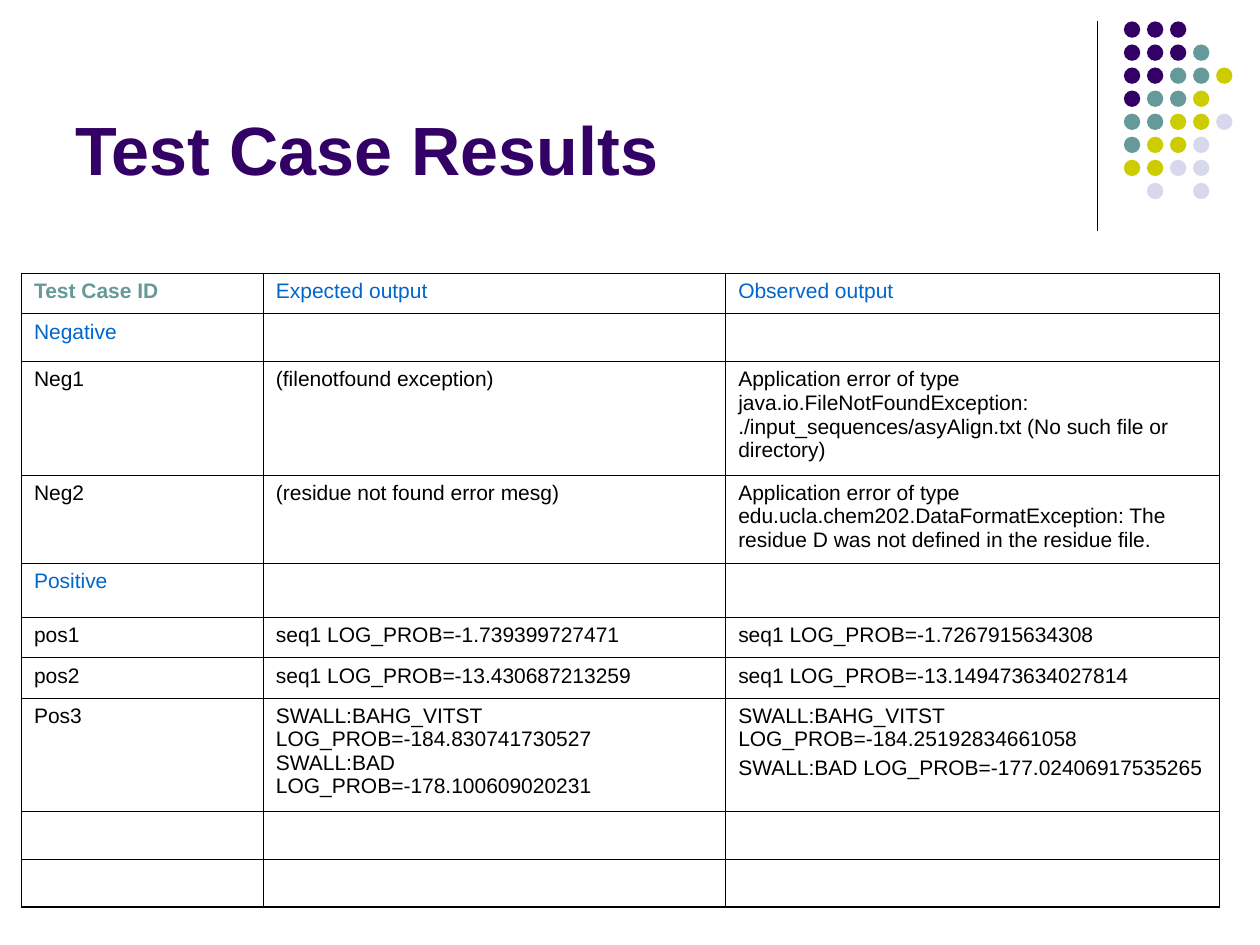
"""Build the Test Case Results slide with its dot grid and results table."""
from lxml import etree
from pptx import Presentation
from pptx.dml.color import RGBColor
from pptx.enum.shapes import MSO_CONNECTOR, MSO_SHAPE
from pptx.enum.text import MSO_ANCHOR
from pptx.oxml.ns import qn
from pptx.util import Inches, Pt

STRAIGHT = MSO_CONNECTOR.STRAIGHT
OVAL = MSO_SHAPE.OVAL
BOTTOM = MSO_ANCHOR.BOTTOM

PURPLE, TEAL, BLUE, BLACK = "330066", "669999", "0066CC", "000000"
DOT_COLORS = {"P": PURPLE, "T": TEAL, "Y": "CCCC00", "L": "D8D8EC"}
DOT_ROWS = ["PPP", "PPPT", "PPTTY", "PTTY", "TTYYL", "TYYL", "YYLL", " L L"]
COL_WIDTHS = [1.92, 3.67, 3.92]
THIN, THICK = 0.45, 1.08

ROWS = [
    (0.32, ["Test Case ID", "Expected output", "Observed output"]),
    (0.38, ["Negative", "", ""]),
    (0.87, ["Neg1", "(filenotfound exception)",
            "Application error of type java.io.FileNotFoundException: "
            "./input_sequences/asyAlign.txt (No such file or directory)"]),
    (0.68, ["Neg2", "(residue not found error mesg)",
            "Application error of type edu.ucla.chem202.DataFormatException: "
            "The residue D was not defined in the residue file."]),
    (0.43, ["Positive", "", ""]),
    (0.32, ["pos1", "seq1 LOG_PROB=-1.739399727471",
            "seq1 LOG_PROB=-1.7267915634308"]),
    (0.32, ["pos2", "seq1 LOG_PROB=-13.430687213259",
            "seq1 LOG_PROB=-13.149473634027814"]),
    (0.85, ["Pos3",
            "SWALL:BAHG_VITST LOG_PROB=-184.830741730527 "
            "SWALL:BAD LOG_PROB=-178.100609020231",
            "SWALL:BAHG_VITST LOG_PROB=-184.25192834661058\n"
            "SWALL:BAD LOG_PROB=-177.02406917535265"]),
    (0.38, ["", "", ""]),
    (0.38, ["", "", ""]),
]


def rgb(value):
    return RGBColor.from_string(value)


def add_border(cell, side, width):
    ln = etree.SubElement(cell._tc.get_or_add_tcPr(), qn(f"a:ln{side}"), w=str(Pt(width)))
    fill = etree.SubElement(ln, qn("a:solidFill"))
    etree.SubElement(fill, qn("a:srgbClr"), val=BLACK)


prs = Presentation()
prs.slide_width, prs.slide_height = Inches(10), Inches(7.5)
s = prs.slides.add_slide(prs.slide_layouts[6])

line = s.shapes.add_connector(STRAIGHT, Inches(8.71), Inches(0.17), Inches(8.71), Inches(1.83))
line.line.color.rgb = rgb(BLACK)
line.line.width = Pt(0.75)
etree.SubElement(line._element.spPr, qn("a:effectLst"))

for i, dots in enumerate(DOT_ROWS):
    for j, dot in enumerate(dots):
        if dot == " ":
            continue
        sp = s.shapes.add_shape(OVAL, Inches(8.92 + j * 0.183), Inches(0.17 + i * 0.183),
                                Inches(0.13), Inches(0.13))
        sp.shadow.inherit = False
        sp.fill.solid()
        sp.fill.fore_color.rgb = rgb(DOT_COLORS[dot])
        sp.line.fill.background()

tf = s.shapes.add_textbox(Inches(0.5), Inches(0.13), Inches(8.25), Inches(1.42)).text_frame
tf.word_wrap = True
tf.vertical_anchor = BOTTOM
p = tf.paragraphs[0]
p.text = "Test Case Results"
p.font.name, p.font.size, p.font.bold = "Arial", Pt(39), True
p.font.color.rgb = rgb(PURPLE)

table = s.shapes.add_table(len(ROWS), len(COL_WIDTHS), Inches(0.17), Inches(2.17),
                           Inches(sum(COL_WIDTHS)),
                           Inches(sum(height for height, _ in ROWS))).table
table.first_row = table.horz_banding = False
for column, width in zip(table.columns, COL_WIDTHS):
    column.width = Inches(width)

last_row, last_col = len(ROWS) - 1, len(COL_WIDTHS) - 1
for i, (height, texts) in enumerate(ROWS):
    table.rows[i].height = Inches(height)
    for j, text in enumerate(texts):
        cell = table.cell(i, j)
        cell.text = text
        heading = i == 0 or text in ("Negative", "Positive")
        corner = i == j == 0
        for p in cell.text_frame.paragraphs:
            p.space_before = Pt(3)
            p.font.name, p.font.size, p.font.bold = "Arial", Pt(12), corner
            p.font.color.rgb = rgb(TEAL if corner else BLUE if heading else BLACK)
        edges = {"L": j == 0, "R": j == last_col, "T": i == 0, "B": i == last_row}
        for side, outer in edges.items():
            add_border(cell, side, THICK if outer else THIN)
        cell.fill.background()

prs.save("out.pptx")
